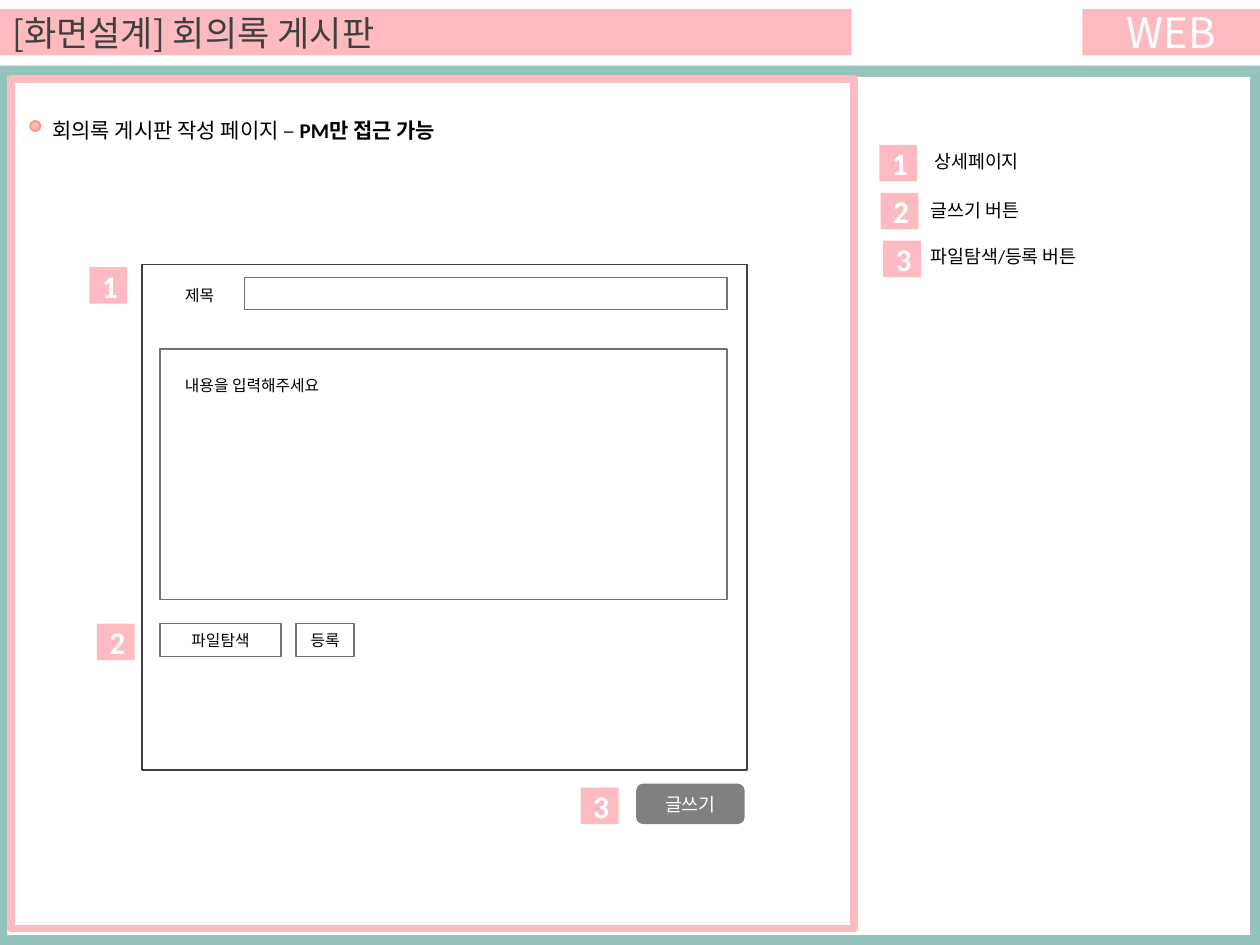
from dataclasses import dataclass
from typing import Optional

from pptx import Presentation
from pptx.dml.color import RGBColor
from pptx.enum import shapes, text
from pptx.util import Inches, Pt

COLORS = {
    "teal": "94C3BB", "pink": "FDBBC1", "coral": "FE907E", "white": "FFFFFF",
    "black": "000000", "charcoal": "404040", "outline": "767171", "button": "808080",
}
RECT = shapes.MSO_SHAPE.RECTANGLE
OVAL = shapes.MSO_SHAPE.OVAL
ROUNDED = shapes.MSO_SHAPE.ROUNDED_RECTANGLE
LEFT = text.PP_ALIGN.LEFT
CENTER = text.PP_ALIGN.CENTER


@dataclass(frozen=True)
class Style:
    size: float
    color: str = "black"
    name: str = "Calibri"
    bold: bool = False


@dataclass(frozen=True)
class Panel:
    left: float
    top: float
    width: float
    height: float
    fill: Optional[str] = None
    line: Optional[str] = None
    weight: float = 0.75
    kind: shapes.MSO_SHAPE = RECT
    words: str = ""
    style: Style = Style(9)
    align: text.PP_ALIGN = CENTER


@dataclass(frozen=True)
class Label:
    left: float
    top: float
    width: float
    height: float
    runs: tuple[tuple[str, Style], ...]
    wrap: bool = True


BADGE = Style(18, "white", bold=True)
HEADER = "Noto Sans CJK KR"
NOTE = Style(10.5)
FIELD = Style(9)


def rgb(key: str) -> RGBColor:
    return RGBColor.from_string(COLORS[key])


def add_run(paragraph, words: str, style: Style) -> None:
    run = paragraph.add_run()
    run.text = words
    formats = {"size": Pt(style.size), "name": style.name, "bold": style.bold}
    for attribute, value in formats.items():
        setattr(run.font, attribute, value)
    run.font.color.rgb = rgb(style.color)


def draw_panel(slide, panel: Panel) -> None:
    shape = slide.shapes.add_shape(
        panel.kind, Inches(panel.left), Inches(panel.top),
        Inches(panel.width), Inches(panel.height))
    shape.shadow.inherit = False
    if panel.fill:
        shape.fill.solid()
        shape.fill.fore_color.rgb = rgb(panel.fill)
    else:
        shape.fill.background()
    if panel.line:
        shape.line.color.rgb = rgb(panel.line)
        shape.line.width = Pt(panel.weight)
    else:
        shape.line.fill.background()
    if panel.words:
        shape.text_frame.vertical_anchor = text.MSO_ANCHOR.MIDDLE
        paragraph = shape.text_frame.paragraphs[0]
        paragraph.alignment = panel.align
        add_run(paragraph, panel.words, panel.style)


def draw_label(slide, label: Label) -> None:
    box = slide.shapes.add_textbox(
        Inches(label.left), Inches(label.top), Inches(label.width), Inches(label.height))
    formats = {"word_wrap": label.wrap, "auto_size": text.MSO_AUTO_SIZE.SHAPE_TO_FIT_TEXT}
    for attribute, value in formats.items():
        setattr(box.text_frame, attribute, value)
    for words, style in label.runs:
        add_run(box.text_frame.paragraphs[0], words, style)


def badge(number: int, left: float, top: float) -> Panel:
    return Panel(left, top, 0.3, 0.29, "pink", words=str(number), style=BADGE)


FRAME = [
    Panel(0, 0.52, 10, 6.98, "teal"),
    Panel(0.06, 0.61, 9.86, 6.81, "white"),
    Panel(0.09, 0.63, 6.69, 6.74, line="pink", weight=4.5),
    Panel(0.24, 0.96, 0.08, 0.08, "pink", "coral", 1, OVAL),
    Panel(8.59, 0.07, 1.41, 0.37, "pink", words="WEB", style=Style(24, "white", HEADER)),
    Panel(0, 0.07, 6.76, 0.37, "pink", words="[화면설계] 회의록 게시판",
          style=Style(20, "charcoal", HEADER), align=LEFT),
]
FORM = [
    Panel(1.13, 2.1, 4.8, 4.01, line="charcoal", weight=1),
    Panel(1.94, 2.2, 3.83, 0.26, line="outline"),
    Panel(1.27, 2.77, 4.5, 1.99, line="outline"),
    Panel(1.27, 4.95, 0.96, 0.26, line="outline", words="파일탐색"),
    Panel(2.35, 4.95, 0.46, 0.26, line="outline", words="등록"),
    Panel(5.05, 6.22, 0.86, 0.32, "button", kind=ROUNDED, words="글쓰기",
          style=Style(10.5, "white", "Arial")),
]
BADGES = [
    badge(1, 0.71, 2.12), badge(2, 0.77, 4.95), badge(3, 4.61, 6.25),
    badge(1, 6.98, 1.15), badge(2, 6.99, 1.53), badge(3, 7.01, 1.91),
]
LABELS = [
    Label(0.28, 0.88, 3.86, 0.3, ((" 회의록 게시판 작성 페이지 – ", Style(12)),
                                  ("PM만 접근 가능", Style(12, bold=True)))),
    Label(1.37, 2.22, 0.45, 0.25, (("제목", FIELD),), wrap=False),
    Label(1.37, 2.93, 1.37, 0.25, (("내용을 입력해주세요", FIELD),), wrap=False),
    Label(7.32, 1.14, 2.76, 0.28, (("상세페이지", NOTE),)),
    Label(7.29, 1.53, 2.76, 0.28, (("글쓰기 버튼", NOTE),)),
    Label(7.29, 1.9, 2.76, 0.28, (("파일탐색/등록 버튼", NOTE),)),
]


def main() -> None:
    deck = Presentation()
    deck.slide_width, deck.slide_height = Inches(10), Inches(7.5)
    slide = deck.slides.add_slide(deck.slide_layouts[6])
    for panel in FRAME + FORM + BADGES:
        draw_panel(slide, panel)
    for label in LABELS:
        draw_label(slide, label)
    deck.save("out.pptx")


if __name__ == "__main__":
    main()
